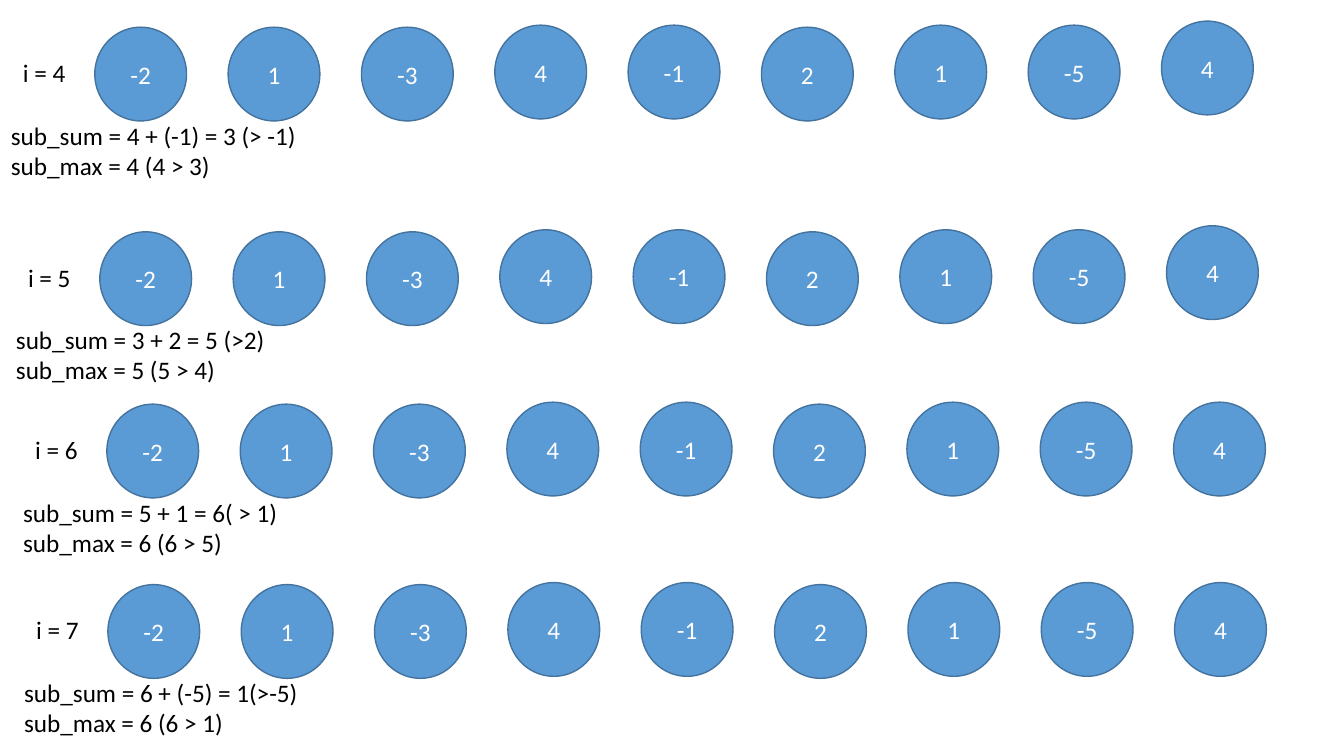
from dataclasses import dataclass

from pptx import Presentation
from pptx.dml.color import RGBColor
from pptx.enum import shapes, text
from pptx.util import Inches, Pt


@dataclass(frozen=True)
class Theme:
    font: str = "Calibri"
    size: int = 18
    ink: str = "000000"
    circle_text: str = "FFFFFF"
    circle_fill: str = "5B9BD5"
    circle_line: str = "43739E"


THEME = Theme()
NUMBERS = [-2, 1, -3, 4, -1, 2, 1, -5, 4]
RAISED = {3, 4, 6, 7}
LIFT = 0.02
STEP = 10.58 / (len(NUMBERS) - 1)

# index i, left, top, lift of the last circle, note width, note lines
ROWS = [
    (4, 0.94, 0.27, 0.06, 3.13, ["sub_sum = 4 + (-1) = 3 (> -1)", "sub_max = 4 (4 > 3)"]),
    (5, 0.99, 2.30, 0.06, 2.76, ["sub_sum = 3 + 2 = 5 (>2)", "sub_max = 5 (5 > 4)"]),
    (6, 1.06, 4.01, 0.02, 2.82, ["sub_sum = 5 + 1 = 6( > 1)", "sub_max = 6 (6 > 5)"]),
    (7, 1.07, 5.80, 0.02, 3.01, ["sub_sum = 6 + (-5) = 1(>-5)", "sub_max = 6 (6 > 1)"]),
]


def write_lines(frame, lines, color, align):
    for number, line in enumerate(lines):
        para = frame.paragraphs[0] if number == 0 else frame.add_paragraph()
        para.alignment = align
        span = para.add_run()
        span.text = line
        span.font.name = THEME.font
        span.font.size = Pt(THEME.size)
        span.font.color.rgb = RGBColor.from_string(color)


def add_circle(page, left, top, value):
    circle = page.shapes.add_shape(
        shapes.MSO_SHAPE.OVAL, Inches(left), Inches(top), Inches(0.91), Inches(0.93))
    circle.shadow.inherit = False
    circle.fill.solid()
    circle.fill.fore_color.rgb = RGBColor.from_string(THEME.circle_fill)
    circle.line.color.rgb = RGBColor.from_string(THEME.circle_line)
    circle.line.width = Pt(1)
    frame = circle.text_frame
    frame.vertical_anchor = text.MSO_ANCHOR.MIDDLE
    write_lines(frame, [str(value)], THEME.circle_text, text.PP_ALIGN.CENTER)


def add_text(page, left, top, width, height, lines):
    box = page.shapes.add_textbox(Inches(left), Inches(top), Inches(width), Inches(height))
    frame = box.text_frame
    frame.word_wrap = False
    frame.auto_size = text.MSO_AUTO_SIZE.SHAPE_TO_FIT_TEXT
    write_lines(frame, lines, THEME.ink, text.PP_ALIGN.LEFT)


def add_row(page, index, left, top, last_lift, note_width, note):
    """Draw one step of the maximum subarray search: circles, index and sums."""
    last = len(NUMBERS) - 1
    for column, value in enumerate(NUMBERS):
        lift = last_lift if column == last else LIFT if column in RAISED else 0
        add_circle(page, left + column * STEP, top - lift, value)
    add_text(page, left - 0.81, top + 0.25, 0.63, 0.4, [f"i = {index}"])
    add_text(page, left - 0.93, top + 0.87, note_width, 0.71, note)


def main():
    deck = Presentation()
    deck.slide_width, deck.slide_height = Inches(13.33), Inches(7.5)
    page = deck.slides.add_slide(deck.slide_layouts.get_by_name("Blank"))
    for row in ROWS:
        add_row(page, *row)
    deck.save("out.pptx")


if __name__ == "__main__":
    main()
